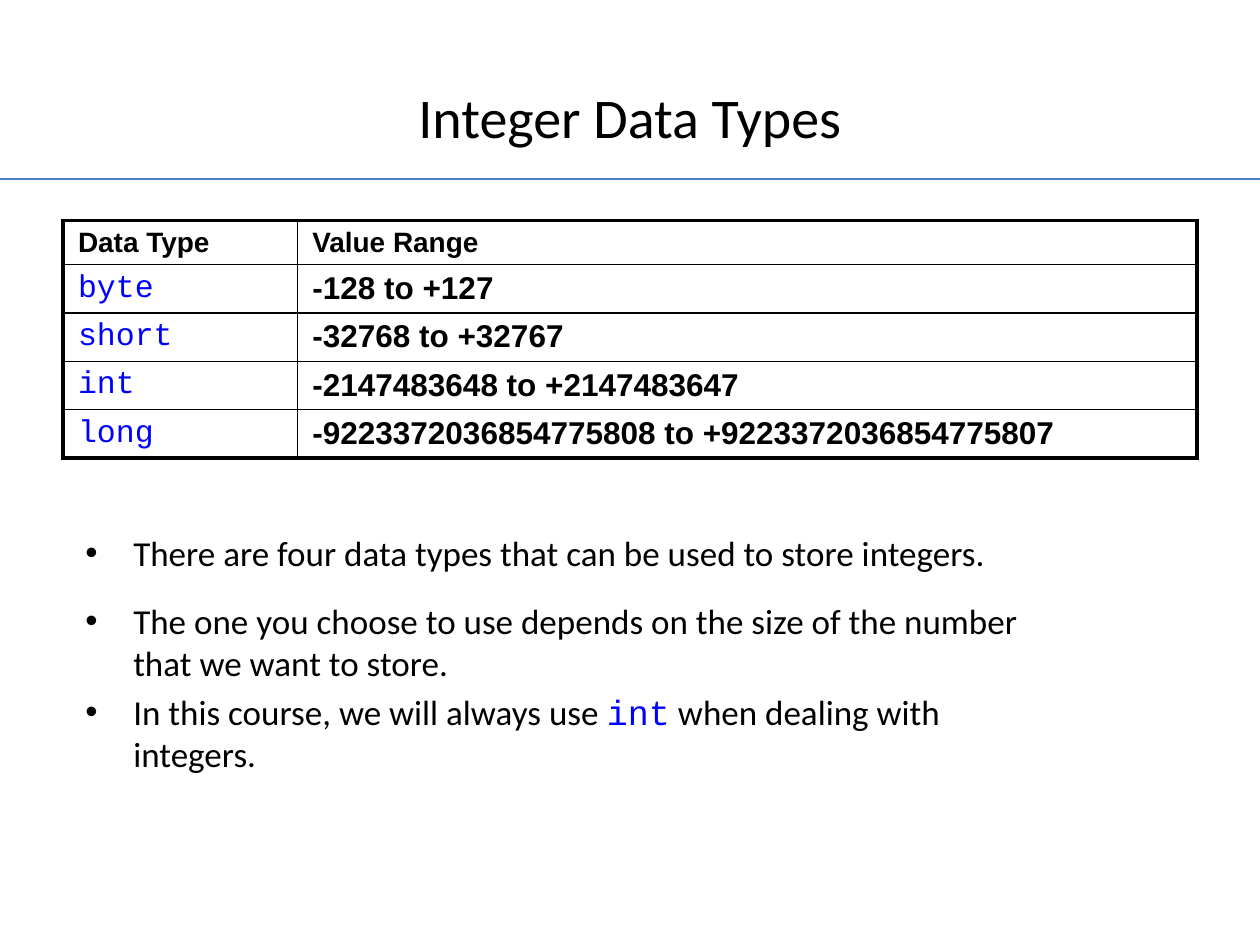
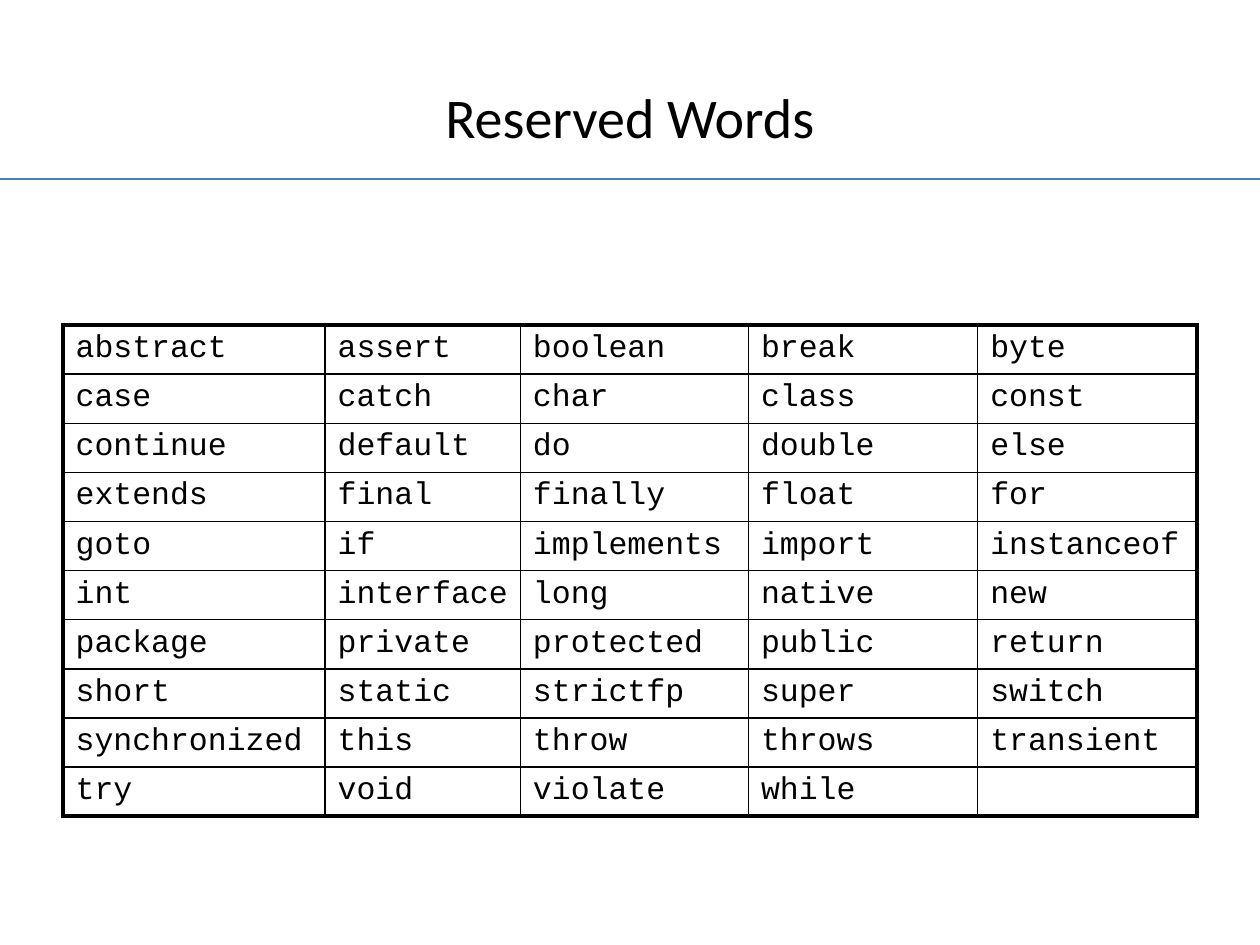
import lxml.etree
import pptx
import pptx.dml.color
import pptx.enum.shapes
import pptx.enum.text
import pptx.oxml.ns
import pptx.util

Inches = pptx.util.Inches
Pt = pptx.util.Pt
qn = pptx.oxml.ns.qn

COLORS = {"text": "000000", "keyword": "0000FF", "rule": "4B7EBC", "border": "000000"}
BODY_FONT, TABLE_FONT, CODE_FONT = "Calibri", "Arial", "Courier New"
OUTER_BORDER, INNER_BORDER = Pt(2.25), Pt(1)

INTEGER_TYPES = [
    ("byte", "-128 to +127"),
    ("short", "-32768 to +32767"),
    ("int", "-2147483648 to +2147483647"),
    ("long", "-9223372036854775808 to +9223372036854775807"),
]

# Each bullet: space before in points, then (text, is code) runs
BULLETS = [
    (0, [("There are four data types that can be used to store integers.", False)]),
    (15, [("The one you choose to use depends on the size of the number "
           "that we want to store.", False)]),
    (4, [("In this course, we will always use ", False), ("int", True),
         (" when dealing with integers.", False)]),
]

RESERVED_WORDS = [
    ["abstract", "assert", "boolean", "break", "byte"],
    ["case", "catch", "char", "class", "const"],
    ["continue", "default", "do", "double", "else"],
    ["extends", "final", "finally", "float", "for"],
    ["goto", "if", "implements", "import", "instanceof"],
    ["int", "interface", "long", "native", "new"],
    ["package", "private", "protected", "public", "return"],
    ["short", "static", "strictfp", "super", "switch"],
    ["synchronized", "this", "throw", "throws", "transient"],
    ["try", "void", "violate", "while", ""],
]


def rgb(name):
    return pptx.dml.color.RGBColor.from_string(COLORS[name])


def add_run(paragraph, text, size, font=BODY_FONT, color="text", bold=False):
    run = paragraph.add_run()
    run.text = text
    run.font.size = Pt(size)
    run.font.name = font
    run.font.bold = bold
    run.font.color.rgb = rgb(color)


def add_titled_slide(presentation, title):
    """Title-only slide with the shared heading and the rule under it."""
    slide = presentation.slides.add_slide(presentation.slide_layouts[5])

    # Heading
    shape = slide.shapes.title
    shape.left, shape.top = Inches(0.5), Inches(0.3)
    shape.width, shape.height = Inches(9), Inches(1.25)
    shape.text_frame.vertical_anchor = pptx.enum.text.MSO_ANCHOR.MIDDLE
    paragraph = shape.text_frame.paragraphs[0]
    paragraph.alignment = pptx.enum.text.PP_ALIGN.CENTER
    add_run(paragraph, title, 32)

    # Rule across the slide
    rule = slide.shapes.add_connector(
        pptx.enum.shapes.MSO_CONNECTOR.STRAIGHT,
        0, Inches(1.42), presentation.slide_width, Inches(1.42))
    rule.line.color.rgb = rgb("rule")
    rule.line.width = Pt(0.75)
    lxml.etree.SubElement(rule._element.spPr, qn("a:effectLst"))
    return slide


def set_borders(cell, widths):
    """Draw the left, right, top and bottom borders, in that order."""
    properties = cell._tc.get_or_add_tcPr()
    for side, width in zip("LRTB", widths):
        line = lxml.etree.SubElement(properties, qn(f"a:ln{side}"), w=str(int(width)))
        fill = lxml.etree.SubElement(line, qn("a:solidFill"))
        lxml.etree.SubElement(fill, qn("a:srgbClr"), val=COLORS["border"])


def add_grid(slide, left, top, column_widths, row_heights, rows, cell_style, side_margin):
    """Unfilled table with a heavy frame; cell_style(row, column) gives run formats."""
    frame = slide.shapes.add_table(
        len(rows), len(column_widths), left, top,
        Inches(sum(column_widths)), Inches(sum(row_heights)))
    table = frame.table
    table.first_row = table.horz_banding = False
    for column, width in zip(table.columns, column_widths):
        column.width = Inches(width)

    last_row, last_column = len(rows) - 1, len(column_widths) - 1
    for row, texts in enumerate(rows):
        table.rows[row].height = Inches(row_heights[row])
        for column, text in enumerate(texts):
            cell = table.cell(row, column)
            on_frame = (column == 0, column == last_column, row == 0, row == last_row)
            set_borders(cell, [OUTER_BORDER if edge else INNER_BORDER for edge in on_frame])
            cell.fill.background()
            cell.margin_left = cell.margin_right = Inches(side_margin)
            cell.margin_top = cell.margin_bottom = Inches(0.05)
            add_run(cell.text_frame.paragraphs[0], text, **cell_style(row, column))


def add_bullets(slide, left, top, width, height):
    text_frame = slide.shapes.add_textbox(left, top, width, height).text_frame
    text_frame.word_wrap = True
    for index, (space_before, runs) in enumerate(BULLETS):
        paragraph = text_frame.add_paragraph() if index else text_frame.paragraphs[0]
        paragraph.space_before = Pt(space_before)
        properties = paragraph._p.get_or_add_pPr()
        properties.set("marL", str(Inches(0.38)))
        properties.set("indent", str(-Inches(0.38)))
        lxml.etree.SubElement(properties, qn("a:buFont"), typeface="Arial")
        lxml.etree.SubElement(properties, qn("a:buChar"), char="•")
        for text, is_code in runs:
            if is_code:
                add_run(paragraph, text, 20, CODE_FONT, "keyword")
            else:
                add_run(paragraph, text, 20)


def integer_cell_style(row, column):
    if row and column == 0:
        return {"size": 18, "font": CODE_FONT, "color": "keyword"}
    return {"size": 18 if row else 16, "font": TABLE_FONT, "bold": True}


def word_cell_style(row, column):
    return {"size": 18, "font": CODE_FONT}


def build_integer_types(presentation):
    slide = add_titled_slide(presentation, "Integer Data Types")
    rows = [("Data Type", "Value Range")] + INTEGER_TYPES
    add_grid(slide, Inches(0.5), Inches(1.75), [1.86, 7.14],
             [0.35] + [0.38] * len(INTEGER_TYPES), rows, integer_cell_style, 0.12)
    add_bullets(slide, Inches(0.58), Inches(4.17), Inches(7.67), Inches(2.83))


def build_reserved_words(presentation):
    slide = add_titled_slide(presentation, "Reserved Words")
    add_grid(slide, Inches(0.5), Inches(2.58), [2.08, 1.55, 1.81, 1.82, 1.74],
             [0.39] * len(RESERVED_WORDS), RESERVED_WORDS, word_cell_style, 0.1)


presentation = pptx.Presentation()
presentation.slide_width, presentation.slide_height = Inches(10), Inches(7.5)
build_integer_types(presentation)
build_reserved_words(presentation)
presentation.save("out.pptx")
